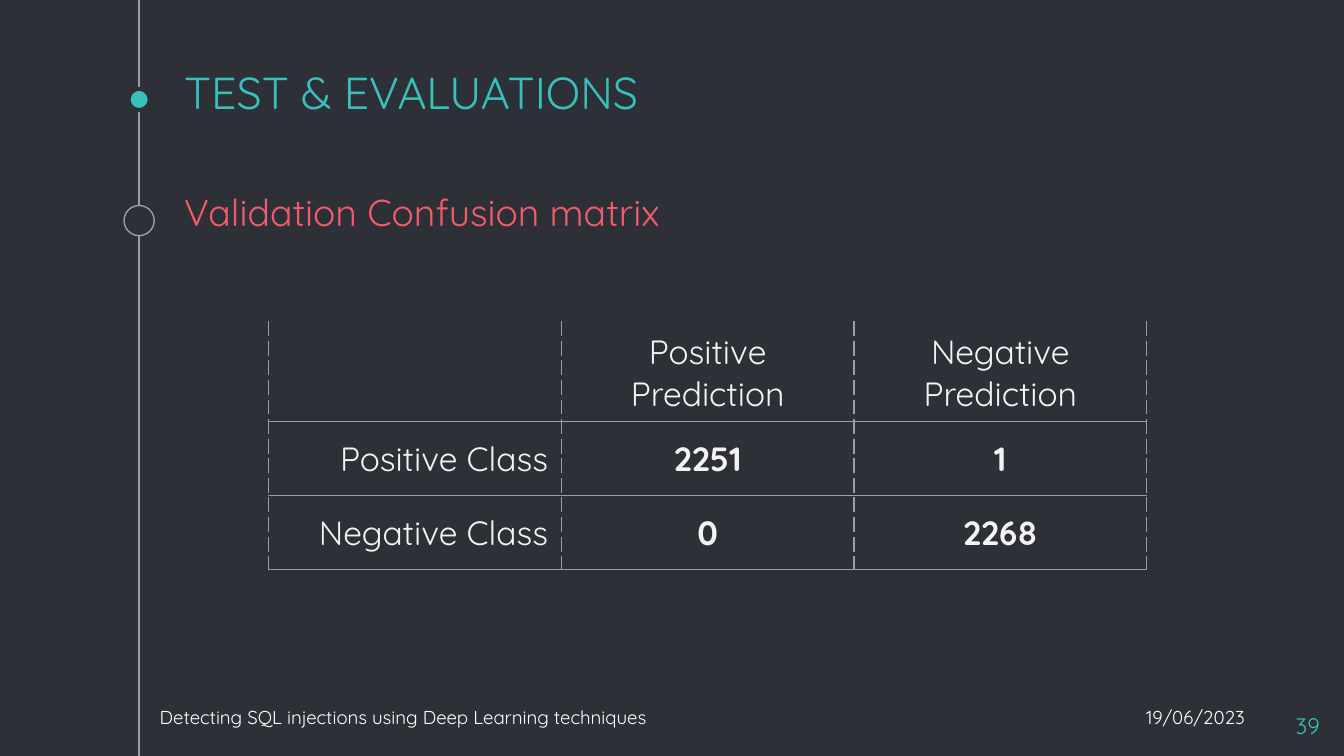
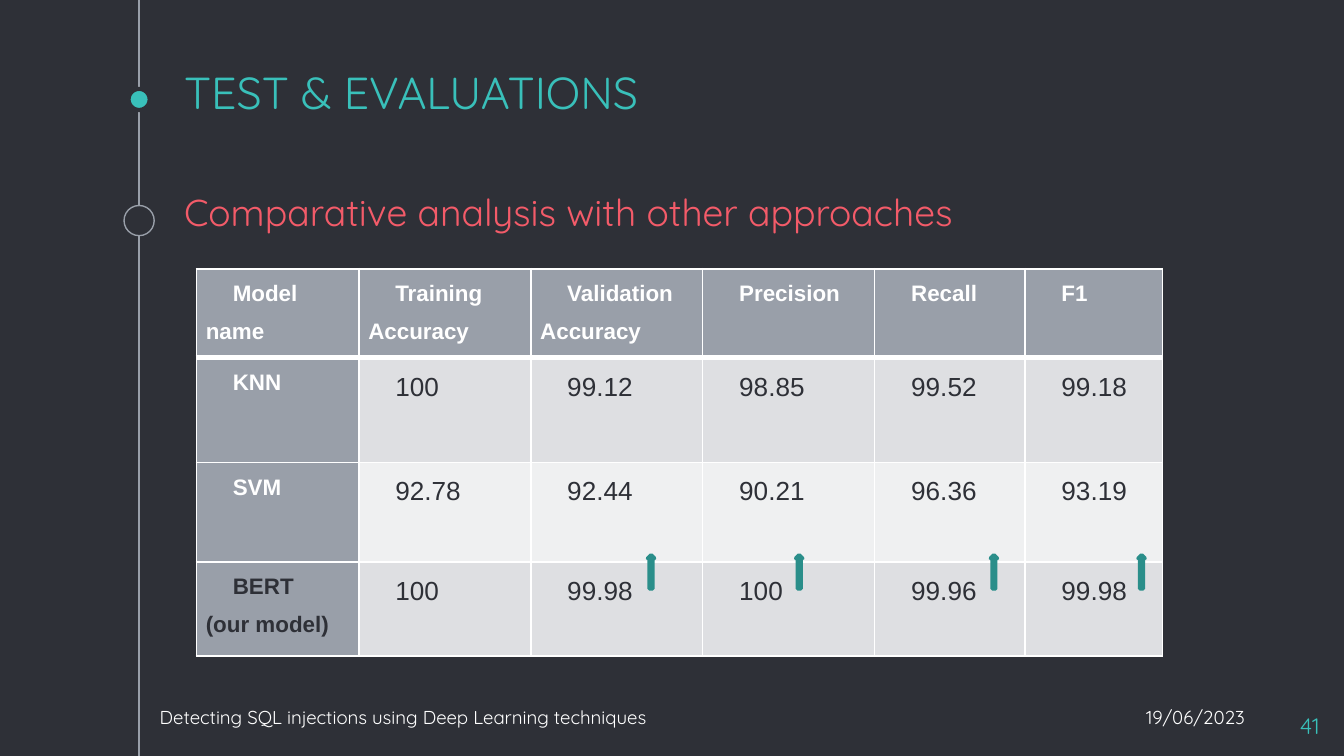
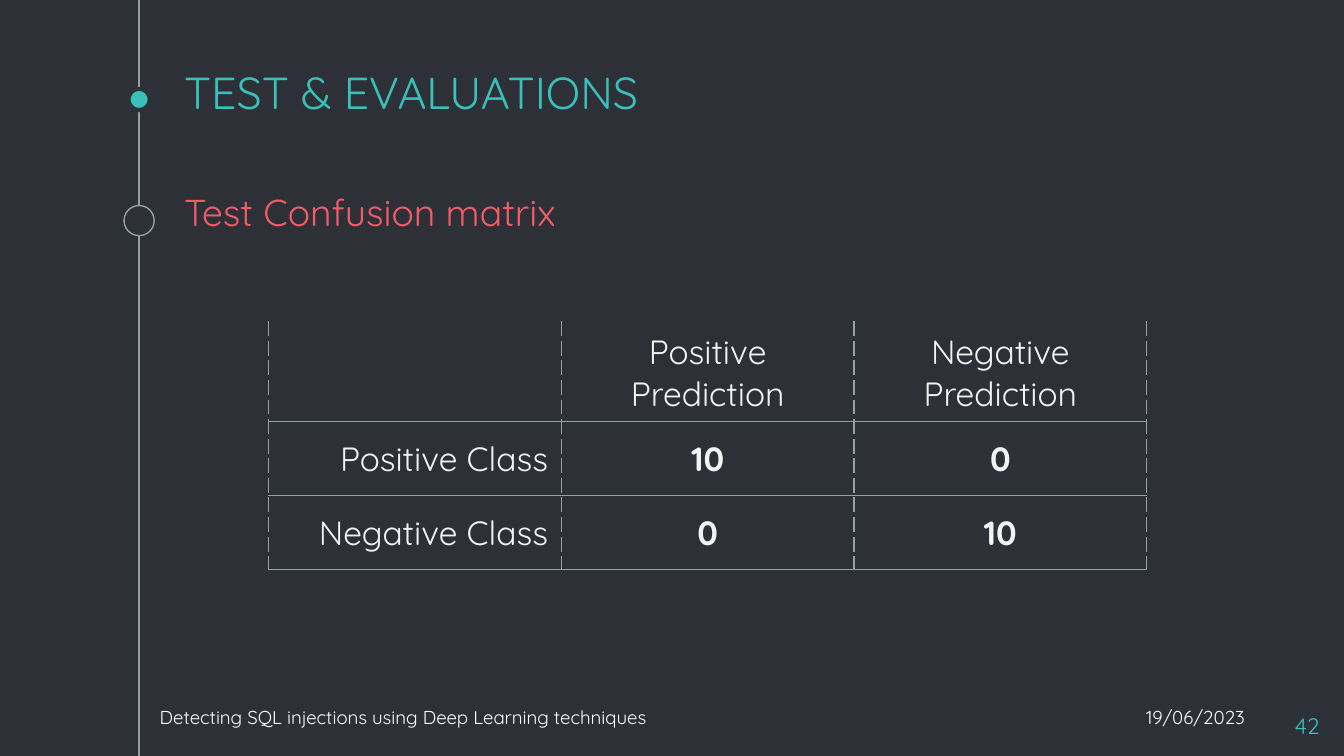
from copy import deepcopy

from lxml import etree
from pptx import Presentation
from pptx.dml.color import RGBColor
from pptx.enum import shapes, text
from pptx.oxml import ns
from pptx.util import Cm, Pt

COLORS = {
    "dark": "2E3037", "teal": "39C0BA", "deep teal": "2A8E8A", "red": "F35B69",
    "gray": "999FA9", "white": "FFFFFF", "off white": "F3F3F3",
    "band": "DEDFE2", "light band": "EFF0F1",
}
TITLE = "TEST & EVALUATIONS"
FOOTER = "Detecting SQL injections using Deep Learning techniques"
DATE = "19/06/2023"

VALIDATION = [
    ("", "Positive Prediction", "Negative Prediction"),
    ("Positive Class", "2251", "1"),
    ("Negative Class", "0", "2268"),
]
TEST = [
    VALIDATION[0],
    ("Positive Class", "10", "0"),
    ("Negative Class", "0", "10"),
]
MODELS = [
    ("Model name", "Training Accuracy", "Validation Accuracy", "Precision", "Recall", "F1"),
    ("KNN", "100", "99.12", "98.85", "99.52", "99.18"),
    ("SVM", "92.78", "92.44", "90.21", "96.36", "93.19"),
    ("BERT\n(our model)", "100", "99.98", "100", "99.96", "99.98"),
]
MODEL_COLS = (3.07, 3.25, 3.25, 3.25, 2.84, 2.6)
MODEL_ROWS = (1.68, 1.98, 1.88, 1.78)
ARROWS_X = (12.24, 15.04, 18.72, 21.51)

SPINE_X = 2.63
LEFT, CENTER, RIGHT, JUSTIFY = (
    text.PP_ALIGN.LEFT, text.PP_ALIGN.CENTER, text.PP_ALIGN.RIGHT, text.PP_ALIGN.JUSTIFY)
TOP, MIDDLE, BOTTOM = text.MSO_ANCHOR.TOP, text.MSO_ANCHOR.MIDDLE, text.MSO_ANCHOR.BOTTOM


def rgb(name):
    return RGBColor.from_string(COLORS[name])


def write(tf, value, size=18, color="white", font="Quicksand", bold=False, align=LEFT):
    p = tf.paragraphs[0]
    p.text = value
    p.alignment = align
    for r in p.runs:
        r.font.size, r.font.name, r.font.bold = Pt(size), font, bold
        r.font.color.rgb = rgb(color)
    for br in p._p.iter(ns.qn("a:br")):
        br.append(deepcopy(p.runs[0]._r.rPr))
    return p


def add_text(s, value, x, y, w, h, anchor=TOP, inset=0.25, wrap=True, **style):
    tf = s.shapes.add_textbox(Cm(x), Cm(y), Cm(w), Cm(h)).text_frame
    tf.word_wrap, tf.vertical_anchor = wrap, anchor
    if not wrap:
        tf.auto_size = text.MSO_AUTO_SIZE.SHAPE_TO_FIT_TEXT
    tf.margin_left = tf.margin_right = Cm(0.25)
    tf.margin_top = tf.margin_bottom = Cm(inset)
    write(tf, value, **style)


def add_shape(s, kind, x, y, w, h, fill, line, width):
    sp = s.shapes.add_shape(kind, Cm(x), Cm(y), Cm(w), Cm(h))
    sp.shadow.inherit = False
    sp.fill.solid()
    sp.fill.fore_color.rgb = rgb(fill)
    sp.line.color.rgb = rgb(line)
    sp.line.width = Pt(width)


def add_bead(s, y, d, fill, line, width):
    """Circle centred on the vertical line."""
    add_shape(s, shapes.MSO_SHAPE.OVAL, SPINE_X - d / 2, y - d / 2, d, d, fill, line, width)


def add_slide(prs, subtitle, number):
    s = prs.slides.add_slide(prs.slide_layouts[6])
    spine = s.shapes.add_connector(
        shapes.MSO_CONNECTOR.STRAIGHT, Cm(SPINE_X), 0, Cm(SPINE_X), prs.slide_height)
    spine.line.color.rgb, spine.line.width = rgb("gray"), Pt(0.75)
    etree.SubElement(spine._element.spPr, ns.qn("a:effectLst"))
    add_bead(s, 1.88, 0.4, "teal", "dark", 2.25)
    add_bead(s, 4.17, 0.57, "dark", "gray", 0.75)
    add_text(s, TITLE, 3.23, 1.22, 14.3, 1.27, BOTTOM, size=24, color="teal")
    add_text(s, number, 23.67, 13.21, 1.52, 0.86, size=12, color="teal", align=RIGHT)
    for value, x, w in ((DATE, 21.41, 2.41), (FOOTER, 2.77, 9.88)):
        add_text(s, value, x, 13.21, w, 0.69, inset=0.13, wrap=False, size=10)
    add_text(s, subtitle, 3.23, 3.3, 15.47, 1.37, BOTTOM, size=20, color="red")
    return s


def add_table(s, rows, x, y, widths, heights):
    table = s.shapes.add_table(
        len(rows), len(widths), Cm(x), Cm(y), Cm(sum(widths)), Cm(sum(heights))).table
    table.first_row = table.horz_banding = False
    for col, w in zip(table.columns, widths):
        col.width = Cm(w)
    for row, h in zip(table.rows, heights):
        row.height = Cm(h)
    return table


def set_borders(cell, color, dash=(), **widths):
    """Widths in points for L, R, T and B; zero hides that side."""
    tcPr = cell._tc.get_or_add_tcPr()
    for side in "LRTB":
        ln = etree.SubElement(tcPr, ns.qn("a:ln" + side), w=str(Pt(widths[side])))
        if not widths[side]:
            etree.SubElement(ln, ns.qn("a:noFill"))
            continue
        fill = etree.SubElement(ln, ns.qn("a:solidFill"))
        etree.SubElement(fill, ns.qn("a:srgbClr"), val=COLORS[color])
        etree.SubElement(ln, ns.qn("a:prstDash"), val="dash" if side in dash else "solid")


def set_margins(cell, side, top):
    cell.margin_left = cell.margin_right = Cm(side)
    cell.margin_top = cell.margin_bottom = Cm(top)


def add_confusion_matrix(s, rows):
    table = add_table(s, rows, 5.08, 6.07, [5.53] * 3, [1.9, 1.4, 1.4])
    for i, row in enumerate(rows):
        for j, value in enumerate(row):
            cell = table.cell(i, j)
            set_borders(cell, "gray", dash="LR", L=0.75, R=0.75, T=0.75 if i else 0, B=0.75)
            cell.fill.background()
            cell.vertical_anchor = MIDDLE
            set_margins(cell, 0.25, 0.18)
            write(cell.text_frame, value, color="off white", bold=i > 0 and j > 0,
                  align=CENTER if j else RIGHT)


def add_model_table(s):
    table = add_table(s, MODELS, 3.71, 5.08, MODEL_COLS, MODEL_ROWS)
    last = len(MODELS) - 1
    for i, row in enumerate(MODELS):
        for j, value in enumerate(row):
            cell = table.cell(i, j)
            heading = i == 0 or j == 0
            set_borders(cell, "white", L=1, R=1, T=3 if i == 1 else 1, B=1 if i else 3)
            cell.fill.solid()
            cell.fill.fore_color.rgb = rgb(
                "gray" if heading else "band" if i % 2 else "light band")
            set_margins(cell, 0.18, 0)
            p = write(cell.text_frame, value, font="Arial", size=12 if heading else 14,
                      color="white" if heading and i < last else "dark",
                      bold=heading, align=JUSTIFY)
            p.line_spacing = 1.5
            p.space_before = p.space_after = Pt(12)
            pPr = p._p.get_or_add_pPr()
            pPr.set("marL", "0")
            pPr.set("indent", str(Cm(0.51)))


def main():
    prs = Presentation()
    prs.slide_width, prs.slide_height = Cm(25.4), Cm(14.29)
    background = prs.slide_master.background.fill
    background.solid()
    background.fore_color.rgb = rgb("dark")

    add_confusion_matrix(add_slide(prs, "Validation Confusion matrix", "39"), VALIDATION)

    s = add_slide(prs, "Comparative analysis with other approaches", "41")
    add_model_table(s)
    for x in ARROWS_X:
        add_shape(s, shapes.MSO_SHAPE.UP_ARROW, x, 10.49, 0.13, 0.64, "teal", "deep teal", 2)

    add_confusion_matrix(add_slide(prs, "Test Confusion matrix", "42"), TEST)
    prs.save("out.pptx")


if __name__ == "__main__":
    main()
